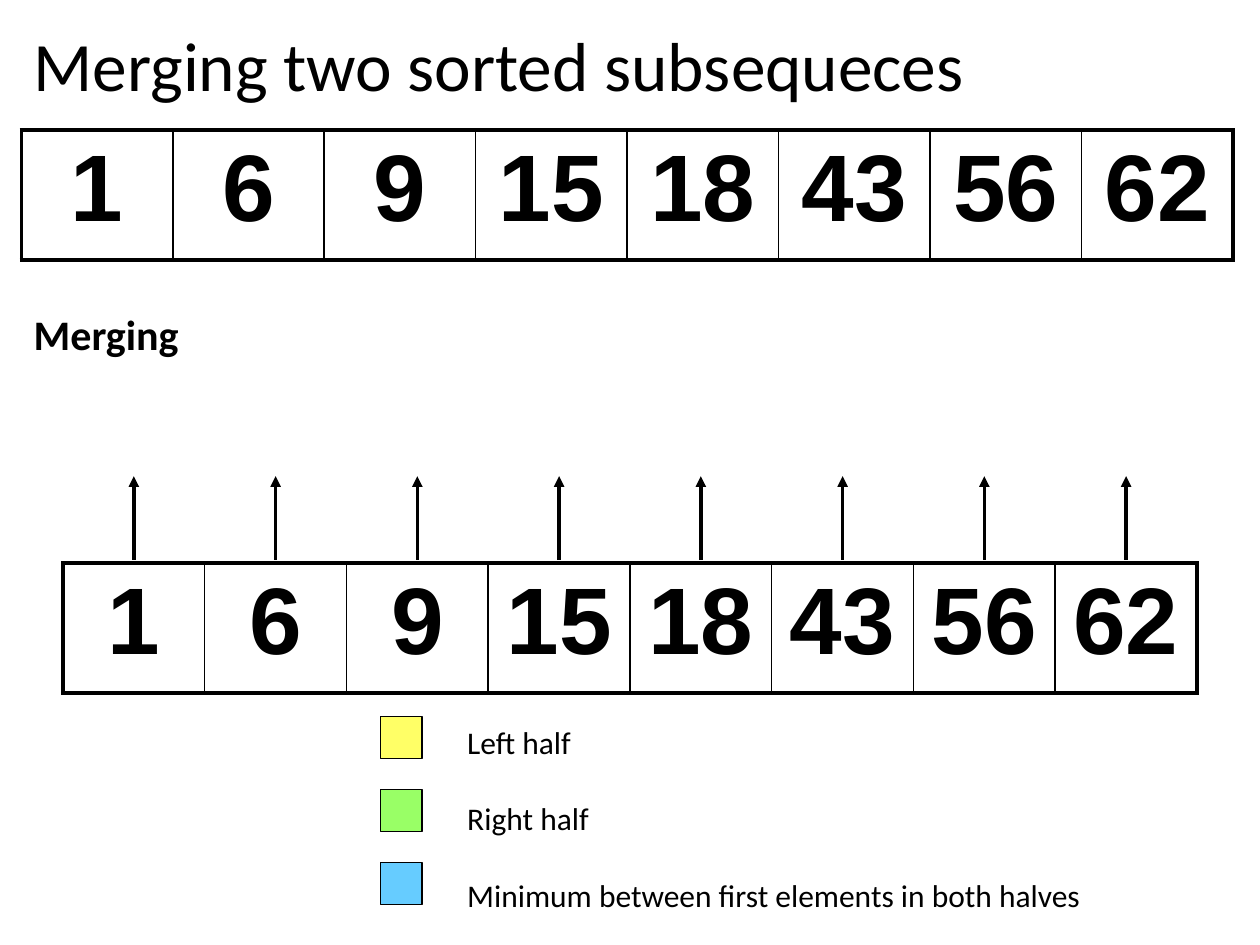
from lxml.etree import SubElement
from pptx import Presentation
from pptx.dml.color import RGBColor
from pptx.enum.shapes import MSO_CONNECTOR as CONNECTOR, MSO_SHAPE as SHAPE
from pptx.enum.text import MSO_ANCHOR as ANCHOR, PP_ALIGN as ALIGN
from pptx.oxml.ns import qn
from pptx.util import Cm, Pt

COLORS = {"ink": "000000", "left": "FFFF66", "right": "99FF66", "minimum": "66CCFF"}
NUMBERS = [1, 6, 9, 15, 18, 43, 56, 62]
LEGEND = [
    ("left", "Left half"),
    ("right", "Right half"),
    ("minimum", "Minimum between first elements in both halves"),
]


def rgb(name):
    return RGBColor.from_string(COLORS[name])


def style(p, size, font="Calibri", bold=False):
    p.font.size, p.font.name, p.font.bold = Pt(size), font, bold
    p.font.color.rgb = rgb("ink")


def add_text(slide, x, y, w, h, lines, size, bold=False, gap=0, wrap=True):
    """Add a text box with one paragraph per line, gap points apart."""
    tf = slide.shapes.add_textbox(Cm(x), Cm(y), Cm(w), Cm(h)).text_frame
    tf.word_wrap = wrap
    for i, line in enumerate(lines):
        p = tf.add_paragraph() if i else tf.paragraphs[0]
        p.text = line
        p.space_before = Pt(gap if i else 0)
        style(p, size, bold=bold)
    return tf


def add_title(slide, x, y, w, h, text):
    tf = add_text(slide, x, y, w, h, [text], 39.6)
    tf.vertical_anchor = ANCHOR.MIDDLE
    tf.paragraphs[0].line_spacing = 0.9


def set_borders(cell, widths):
    """Draw the cell's sides; widths are points for left, right, top, bottom."""
    tc_pr = cell._tc.get_or_add_tcPr()
    for i, (side, width) in enumerate(zip(("lnL", "lnR", "lnT", "lnB"), widths)):
        ln = tc_pr.makeelement(qn(f"a:{side}"), {"w": str(Pt(width))})
        fill = SubElement(ln, qn("a:solidFill"))
        SubElement(fill, qn("a:srgbClr"), val=COLORS["ink"])
        tc_pr.insert(i, ln)


def add_array(slide, x, y, w, h, margin):
    """Add the numbers as a one-row table with a heavy outer frame."""
    last = len(NUMBERS) - 1
    table = slide.shapes.add_table(1, len(NUMBERS), Cm(x), Cm(y), Cm(w), Cm(h)).table
    table.first_row = table.horz_banding = False
    for i, number in enumerate(NUMBERS):
        table.columns[i].width = Cm(w / len(NUMBERS))
        cell = table.cell(0, i)
        cell.margin_left = cell.margin_right = Cm(margin)
        cell.fill.background()
        set_borders(cell, (1 if i else 2.25, 1 if i < last else 2.25, 2.25, 2.25))
        p = cell.text_frame.paragraphs[0]
        p.text = str(number)
        p.alignment = ALIGN.CENTER
        style(p, 54, "Arial", True)


def add_arrows(slide, x, y, w, h):
    """Add an upward arrow over the middle of each array cell."""
    pitch = w / len(NUMBERS)
    for i in range(len(NUMBERS)):
        mid = Cm(x + (i + 0.5) * pitch)
        arrow = slide.shapes.add_connector(CONNECTOR.STRAIGHT, mid, Cm(y + h), mid, Cm(y))
        arrow.line.color.rgb = rgb("ink")
        arrow.line.width = Pt(2)
        SubElement(arrow.line._get_or_add_ln(), qn("a:tailEnd"), type="triangle")
        SubElement(arrow._element.spPr, qn("a:effectLst"))


def add_legend(slide, x, y, w, h):
    side, pitch, indent = 0.84, 1.47, 1.5
    for i, (color, _) in enumerate(LEGEND):
        sp = slide.shapes.add_shape(
            SHAPE.RECTANGLE, Cm(x), Cm(y + i * pitch), Cm(side), Cm(side))
        sp.shadow.inherit = False
        sp.fill.solid()
        sp.fill.fore_color.rgb = rgb(color)
        sp.line.color.rgb = rgb("ink")
        sp.line.width = Pt(0.75)
    add_text(slide, x + indent, y, w - indent, h, [label for _, label in LEGEND],
             18, gap=22, wrap=False)


def main():
    prs = Presentation()
    prs.slide_width, prs.slide_height = Cm(25.4), Cm(19.05)
    slide = prs.slides.add_slide(prs.slide_layouts[6])
    add_title(slide, 0.43, 0.46, 24.43, 1.88, "Merging two sorted subsequeces")
    add_array(slide, 0.43, 2.62, 24.43, 2.62, margin=0.28)
    add_array(slide, 1.27, 11.35, 22.86, 2.62, margin=0.25)
    add_legend(slide, 7.67, 14.45, 16.56, 4.11)
    add_arrows(slide, 1.27, 9.6, 22.86, 1.68)
    add_text(slide, 0.43, 6.1, 4.45, 1.27, ["Merging"], 24, bold=True)
    prs.save("out.pptx")


if __name__ == "__main__":
    main()
